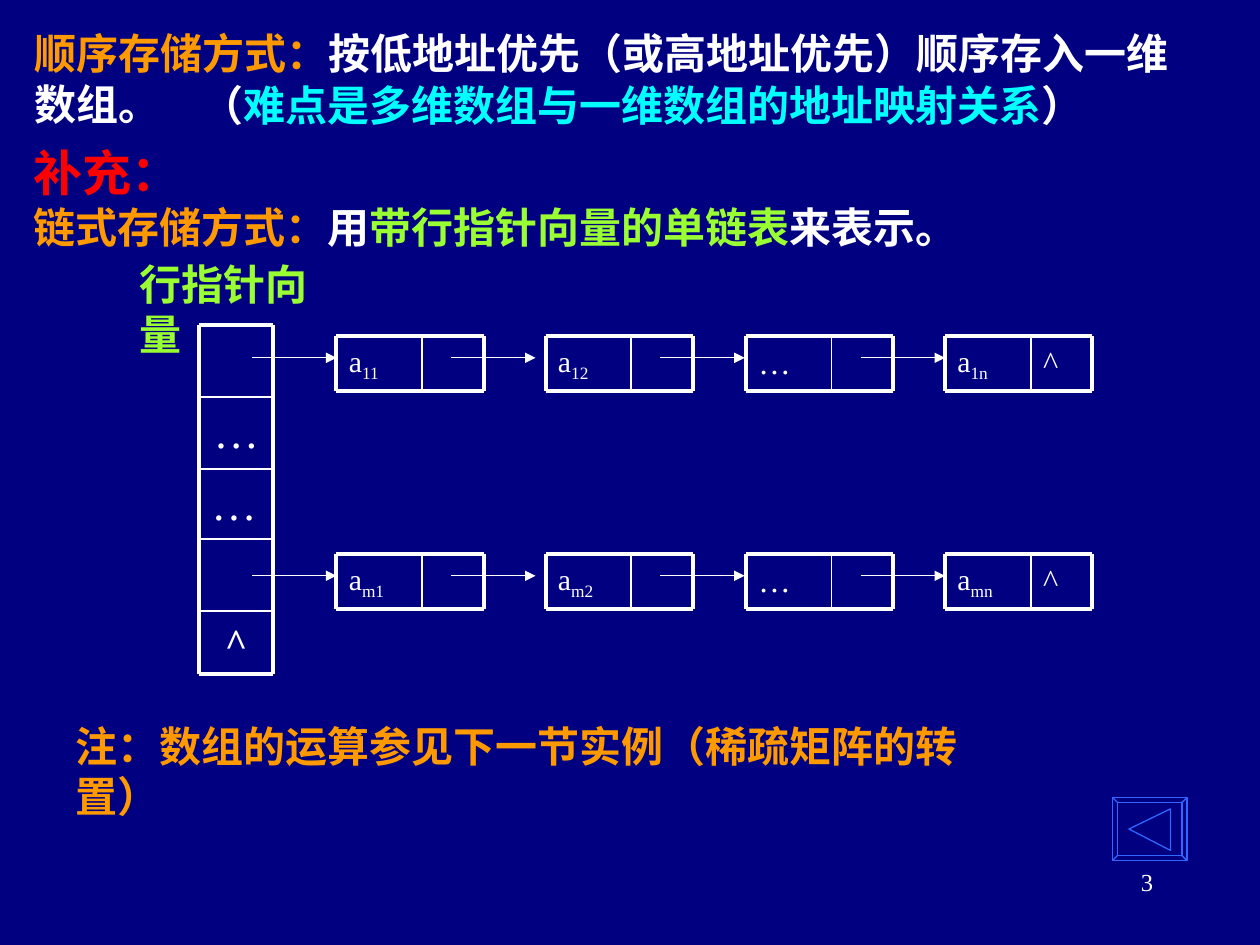
"""Build a slide on sequential and linked storage of arrays."""
from lxml import etree
from pptx import Presentation
from pptx.dml.color import RGBColor
from pptx.enum.shapes import MSO_CONNECTOR
from pptx.enum.text import MSO_ANCHOR, MSO_AUTO_SIZE, PP_ALIGN
from pptx.oxml.ns import qn
from pptx.util import Inches, Pt

STRAIGHT = MSO_CONNECTOR.STRAIGHT
LEFT, CENTER, RIGHT = PP_ALIGN.LEFT, PP_ALIGN.CENTER, PP_ALIGN.RIGHT
TOP, MIDDLE = MSO_ANCHOR.TOP, MSO_ANCHOR.MIDDLE
FIXED, GROW = MSO_AUTO_SIZE.NONE, MSO_AUTO_SIZE.SHAPE_TO_FIT_TEXT

FONT = "Times New Roman"
COLORS = {
    "navy": "000080",
    "white": "FFFFFF",
    "orange": "FF9900",
    "red": "FF0000",
    "lime": "99FF33",
    "cyan": "00FFFF",
    "blue": "3366FF",
}
THICK, THIN, ARROW = 2.25, 1, 0.75
NODE_LEFTS = (2.67, 4.33, 5.92, 7.5)
NODE_WIDTH, NODE_HEIGHT, DATA_WIDTH = 1.17, 0.43, 0.68
VECTOR_LEFT, VECTOR_RIGHT = 1.58, 2.17
VECTOR_EDGES = (2.58, 3.15, 3.72, 4.28, 4.85, 5.35)


def rgb(name):
    """Return a palette colour."""
    return RGBColor.from_string(COLORS[name])


def add_run(paragraph, text, size, color="white", bold=False, subscript=False):
    """Append one formatted run."""
    run = paragraph.add_run()
    run.text = text
    run.font.name = FONT
    run.font.size = Pt(size)
    run.font.bold = bold
    run.font.color.rgb = rgb(color)
    if subscript:
        run._r.get_or_add_rPr().set("baseline", "-25000")


def prepare_frame(shape, align=LEFT, anchor=TOP, wrap=True, auto_size=FIXED):
    """Set up a text frame and return its first paragraph."""
    frame = shape.text_frame
    frame.word_wrap = wrap
    frame.auto_size = auto_size
    frame.vertical_anchor = anchor
    paragraph = frame.paragraphs[0]
    paragraph.alignment = align
    return paragraph


def add_text(shapes, box, runs, **layout):
    """Add a text box holding one paragraph of runs."""
    shape = shapes.add_textbox(*map(Inches, box))
    paragraph = prepare_frame(shape, **layout)
    for run in runs:
        add_run(paragraph, *run)
    return paragraph


def add_line(shapes, start, end, width, arrow=False):
    """Add a white straight line, with an arrowhead if asked."""
    line = shapes.add_connector(STRAIGHT, *map(Inches, (*start, *end)))
    line.line.color.rgb = rgb("white")
    line.line.width = Pt(width)
    properties = line._element.spPr
    if arrow:
        etree.SubElement(line.line._get_or_add_ln(), qn("a:tailEnd"), type="triangle")
    etree.SubElement(properties, qn("a:effectLst"))


def add_title(slide):
    """Fill the title with the sequential storage statement."""
    title = slide.shapes.title
    title.left, title.top, title.width, title.height = map(Inches, (0.17, 0.08, 9.25, 1.08))
    paragraph = prepare_frame(title, anchor=MIDDLE)
    add_run(paragraph, "顺序存储方式：", 24, "orange", True)
    add_run(paragraph, "按低地址优先（或高地址优先）顺序存入一维数组。", 24, "white", True)


def add_row_vector(slide):
    """Draw the column of row pointers."""
    shapes = slide.shapes.add_group_shape().shapes
    width = VECTOR_RIGHT - VECTOR_LEFT
    cells = ((1, "…", 25.9, False, CENTER), (2, "…", 25.9, False, LEFT), (4, "^", 22.2, True, CENTER))
    for index, text, size, bold, align in cells:
        top, bottom = VECTOR_EDGES[index:index + 2]
        add_text(shapes, (VECTOR_LEFT, top, width, bottom - top),
                 [(text, size, "white", bold)], align=align)
    first, last = VECTOR_EDGES[0], VECTOR_EDGES[-1]
    for y in VECTOR_EDGES:
        add_line(shapes, (VECTOR_LEFT, y), (VECTOR_RIGHT, y), THICK if y in (first, last) else THIN)
    for x in (VECTOR_LEFT, VECTOR_RIGHT):
        add_line(shapes, (x, first), (x, last), THICK)


def add_node(shapes, left, top, runs):
    """Draw one list node with its data and pointer fields."""
    right, bottom, divider = left + NODE_WIDTH, top + NODE_HEIGHT, left + DATA_WIDTH
    add_text(shapes, (left, top, DATA_WIDTH, NODE_HEIGHT), runs)
    for y in (top, bottom):
        add_line(shapes, (left, y), (right, y), THICK)
    for x, width in ((left, THICK), (divider, THIN), (right, THICK)):
        add_line(shapes, (x, top), (x, bottom), width)


def add_linked_row(slide, top, row):
    """Draw the linked list of one matrix row."""
    shapes = slide.shapes.add_group_shape().shapes
    for left, column in zip(NODE_LEFTS, ("1", "2", None, "n")):
        if column:
            runs = [("a", 17), (row + column, 17, "white", False, True)]
        else:
            runs = [("…", 18.5)]
        add_node(shapes, left, top, runs)
    last = NODE_LEFTS[-1]
    add_text(shapes, (last + DATA_WIDTH, top, NODE_WIDTH - DATA_WIDTH, NODE_HEIGHT), [("^", 18.5)])
    y = top + 0.17
    for x in (2, *(left + 0.91 for left in NODE_LEFTS[:-1])):
        add_line(shapes, (x, y), (x + 0.67, y), ARROW, arrow=True)


def add_back_button(slide):
    """Draw the bevelled back button as an outline."""
    left, top, right, bottom, bevel = 8.83, 6.33, 9.42, 6.83, 0.04
    outer = [(left, top), (right, top), (right, bottom), (left, bottom)]
    inner = [(left + bevel, top + bevel), (right - bevel, top + bevel),
             (right - bevel, bottom - bevel), (left + bevel, bottom - bevel)]
    triangle = [(9.29, 6.42), (8.96, 6.58), (9.29, 6.75)]
    contours = [(outer, True), (inner, True), (triangle, True)]
    contours += [(list(corner), False) for corner in zip(outer, inner)]
    builder = slide.shapes.build_freeform(Inches(left), Inches(top))
    for points, closed in contours:
        start, *rest = [(Inches(x), Inches(y)) for x, y in points]
        builder.move_to(*start)
        builder.add_line_segments(rest, close=closed)
    button = builder.convert_to_shape()
    button.shadow.inherit = False
    button.fill.background()
    button.line.color.rgb = rgb("blue")
    button.line.width = Pt(0.75)


def add_linked_statement(slide):
    """Add the supplement heading and the linked storage statement."""
    paragraph = add_text(slide.shapes, (0.17, 1.08, 7.75, 0.97),
                         [("补充：", 28, "red", True)], auto_size=GROW)
    paragraph.add_line_break()
    for text, color in (("链式存储方式：", "orange"), ("用", "white"),
                        ("带行指针向量的单链表", "lime"), ("来表示。", "white")):
        add_run(paragraph, text, 24, color, True)


def main():
    """Build and save the slide."""
    presentation = Presentation()
    presentation.slide_width, presentation.slide_height = Inches(10), Inches(7.5)
    slide = presentation.slides.add_slide(presentation.slide_layouts[5])
    slide.background.fill.solid()
    slide.background.fill.fore_color.rgb = rgb("navy")
    add_title(slide)
    add_row_vector(slide)
    add_text(slide.shapes, (1.01, 2, 1.86, 0.5), [("行指针向量", 24, "lime", True)],
             wrap=False, auto_size=GROW)
    add_linked_row(slide, 2.67, "1")
    add_linked_row(slide, 4.4, "m")
    add_back_button(slide)
    add_linked_statement(slide)
    add_text(slide.shapes, (0.5, 5.67, 7.83, 0.9),
             [("注：数组的运算参见下一节实例（稀疏矩阵的转置）", 24, "orange", True)], auto_size=GROW)
    add_text(slide.shapes, (1.5, 0.58, 7.2, 0.5),
             [("（", 24, "white", True), ("难点是多维数组与一维数组的地址映射关系", 24, "cyan", True),
              ("）", 24, "white", True)], wrap=False, auto_size=GROW)
    add_text(slide.shapes, (7.17, 6.83, 2.08, 0.5), [("3", 14)], align=RIGHT)
    presentation.save("out.pptx")


if __name__ == "__main__":
    main()
